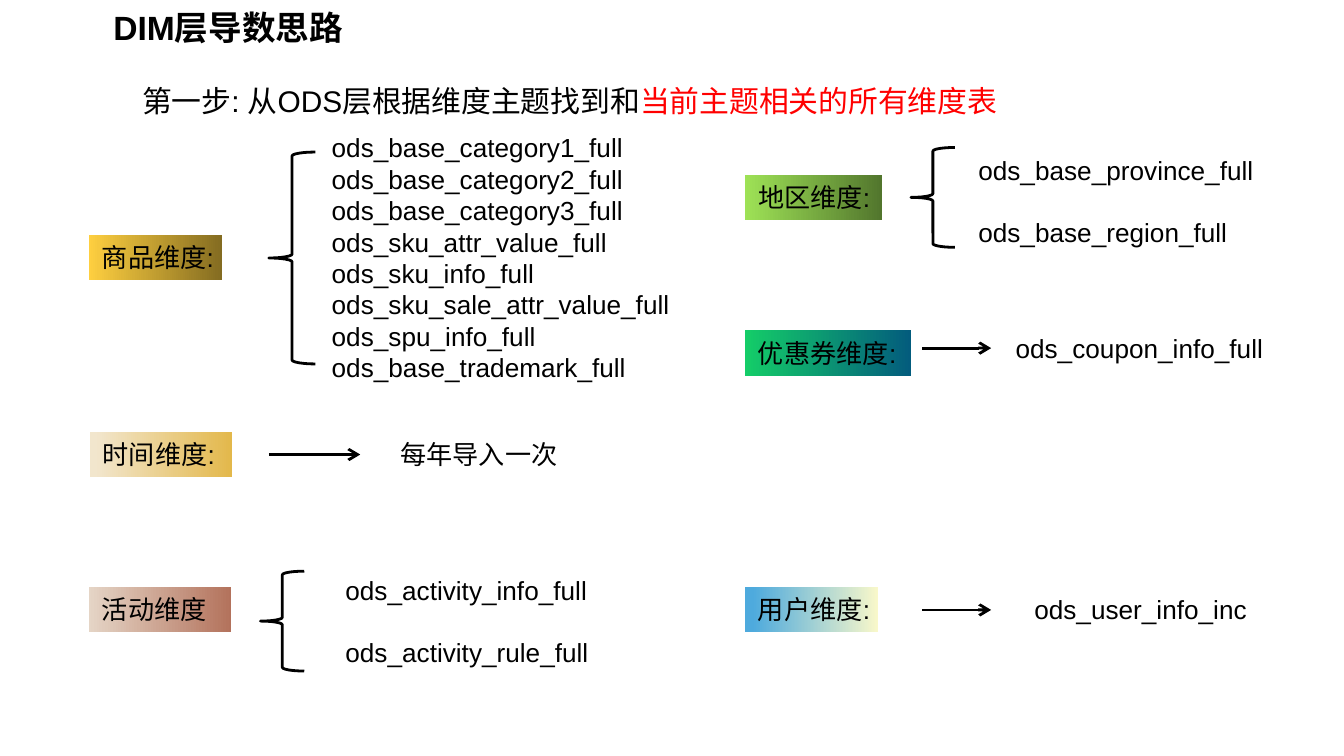
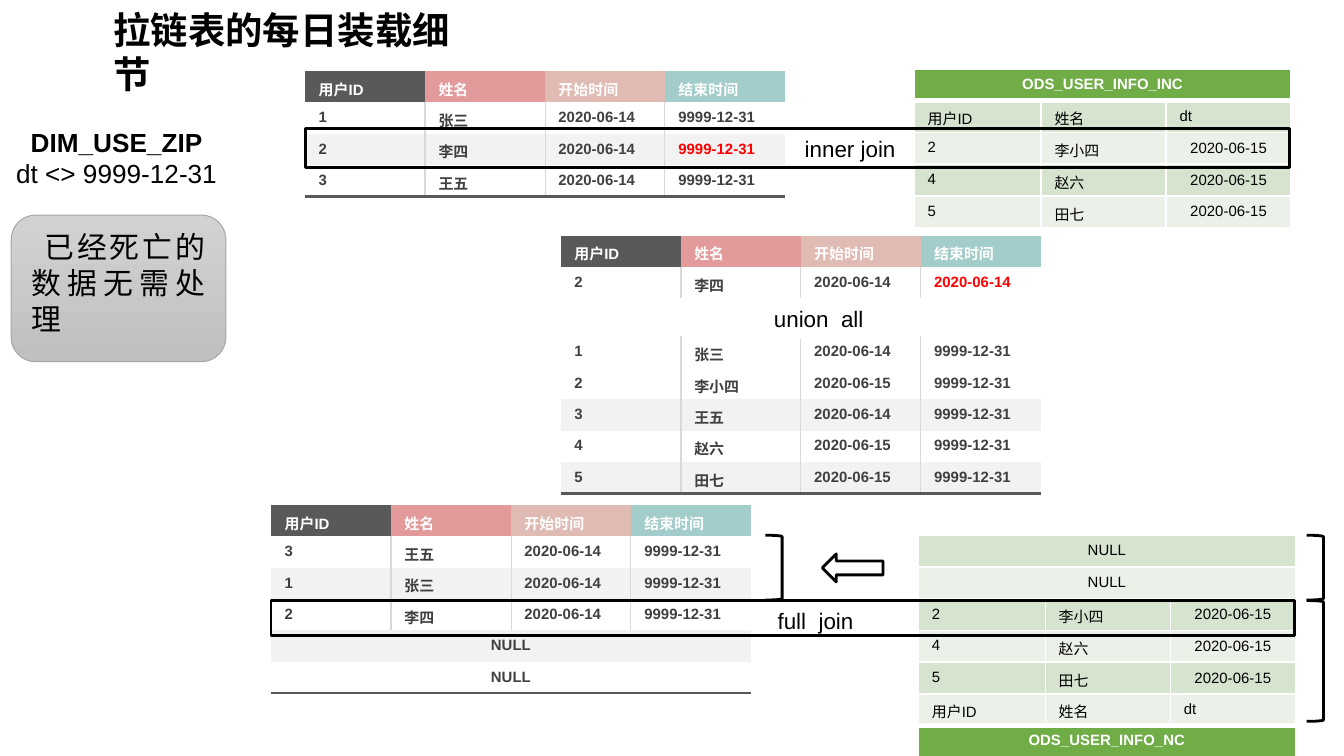
from lxml import etree
from pptx import Presentation
from pptx.dml.color import RGBColor
from pptx.enum import shapes, text
from pptx.oxml import ns
from pptx.util import Pt

# Shared colours
BLACK, WHITE = RGBColor(0, 0, 0), RGBColor(255, 255, 255)
RED = RGBColor(255, 0, 0)
INK, SLATE = RGBColor(0x40, 0x40, 0x40), RGBColor(0x59, 0x59, 0x59)
RULE, STRIPE = RGBColor(0xD9, 0xD9, 0xD9), RGBColor(0xF2, 0xF2, 0xF2)
HEADS = [SLATE, RGBColor(0xE2, 0x9A, 0x9A), RGBColor(0xDF, 0xBB, 0xB3),
         RGBColor(0xA3, 0xCD, 0xCB)]
GREEN = RGBColor(0x70, 0xAD, 0x47)
GREEN_MID, GREEN_PALE = RGBColor(0xD5, 0xE3, 0xCF), RGBColor(0xEB, 0xF1, 0xE9)
CARD_TOP, CARD_END = RGBColor(0xD2, 0xD2, 0xD2), RGBColor(0xC0, 0xC0, 0xC0)
CARD_LINE = RGBColor(0xA5, 0xA5, 0xA5)

# Shared type and table measures
FONT = "Arial"
CENTER = text.PP_ALIGN.CENTER
MSO = shapes.MSO_SHAPE
GREY_COLS, GREY_ROW = [64.25] * 4, 16.75
GREEN_COLS, GREEN_ROW = [68, 67, 67], 17


def write(p, words, size, color=BLACK, bold=False):
    """Add one formatted run to a paragraph."""
    r = p.add_run()
    r.text = words
    r.font.name, r.font.size = FONT, Pt(size)
    r.font.bold, r.font.color.rgb = bold, color


def add_grid(sl, x, y, rows, green=False, red=None):
    """Add a grey or green table; a row with one text spans all columns."""
    widths, row_h = (GREEN_COLS, GREEN_ROW) if green else (GREY_COLS, GREY_ROW)
    last_row, last_col = len(rows) - 1, len(widths) - 1
    tbl = sl.shapes.add_table(len(rows), len(widths), Pt(x), Pt(y),
                              Pt(sum(widths)), Pt(row_h * len(rows))).table
    tbl.first_row = tbl.horz_banding = False
    style = tbl._tbl.tblPr.find(ns.qn("a:tableStyleId"))
    style.text = "{2D5ABB26-0587-4C30-8999-92F81FD0307C}"
    for col, w in zip(tbl.columns, widths):
        col.width = Pt(w)
    for i, row in enumerate(rows):
        tbl.rows[i].height = Pt(row_h)
        title = row[0].startswith("ODS_")
        header = not green and row[0] == "用户ID"
        spans = len(row) == 1
        if spans:
            tbl.cell(i, 0).merge(tbl.cell(i, last_col))
        for j in range(len(widths)):
            cell = tbl.cell(i, j)
            # Borders come before the fill
            edges = {}
            if green:
                edges = {side: (WHITE, 1) for side in "LRTB"}
                if title:
                    edges["B" if i == 0 else "T"] = (WHITE, 3)
            elif not header:
                if not spans and j > 0:
                    edges["L"] = (RULE, 1 if j == 1 else 0.5)
                if not spans and j < last_col:
                    edges["R"] = (RULE, 1 if j == 0 else 0.5)
                if i == last_row and last_row > 1:
                    edges["B"] = (SLATE, 1.5)
            tcPr = cell._tc.get_or_add_tcPr()
            for side, (color, w) in edges.items():
                ln = etree.SubElement(tcPr, ns.qn("a:ln" + side), w=str(Pt(w)))
                fill = etree.SubElement(ln, ns.qn("a:solidFill"))
                etree.SubElement(fill, ns.qn("a:srgbClr"), val=str(color))
            # Fill
            cell.fill.solid()
            if green:
                top_title = rows[0][0].startswith("ODS_")
                shade = GREEN_MID if (i + top_title) % 2 == 0 else GREEN_PALE
                cell.fill.fore_color.rgb = GREEN if title else shade
            elif header:
                cell.fill.fore_color.rgb = HEADS[j]
            else:
                cell.fill.fore_color.rgb = STRIPE if i and i % 2 == 0 else WHITE
            # Text
            if j >= len(row):
                continue
            p = cell.text_frame.paragraphs[0]
            dated = green and row[j].startswith("2020")
            if spans or dated:
                p.alignment = CENTER
            if dated:
                cell.vertical_anchor = text.MSO_ANCHOR.MIDDLE
            color = WHITE if header or title else BLACK if green else INK
            write(p, row[j], 8, RED if (i, j) == red else color,
                  title or not green)


prs = Presentation()
prs.slide_width, prs.slide_height = Pt(720), Pt(405)

# Slides and their titles
slides = []
for layout, words, size, w, h in [(1, "DIM层导数思路", 18, 137.5, 29),
                                  (5, "拉链表的每日装载细节", 20, 214.5, 31.5)]:
    sl = prs.slides.add_slide(prs.slide_layouts[layout])
    sp = sl.shapes.title
    sp.left, sp.top, sp.width, sp.height = Pt(53.5), Pt(0), Pt(w), Pt(h)
    tf = sp.text_frame
    tf.word_wrap, tf.auto_size = True, text.MSO_AUTO_SIZE.NONE
    tf.vertical_anchor = text.MSO_ANCHOR.TOP
    tf.paragraphs[0].alignment = text.PP_ALIGN.LEFT
    write(tf.paragraphs[0], words, size, bold=True)
    slides.append(sl)
dims, zipper = slides

# Slide 1: first step
sp = dims.shapes.add_textbox(Pt(69), Pt(40.5), Pt(569), Pt(26.5))
sp.text_frame.word_wrap = True
p = sp.text_frame.paragraphs[0]
write(p, "第一步: 从ODS层根据维度主题找到和", 16)
write(p, "当前主题相关的所有维度表", 16, RED)

# Slide 1: dimension tags
for words, x, y, w, start, c1, c2 in [
        ("商品维度:", 47.5, 126, 71.5, 0, "FECF40", "846C21"),
        ("优惠券维度:", 399, 177, 89, 0, "14CD68", "035C7D"),
        ("地区维度:", 399, 93.75, 73.5, 0, "9EE256", "52762D"),
        ("活动维度", 47.5, 314.5, 76.5, 0, "E5D5C6", "B3725C"),
        ("时间维度:", 48, 231.25, 76.5, 0.04, "F2E6CD", "E3B84B"),
        ("用户维度:", 399, 314.5, 71.5, 0.06, "4EAADD", "F9F8CA")]:
    sp = dims.shapes.add_textbox(Pt(x), Pt(y), Pt(w), Pt(24.25))
    sp.fill.gradient()
    sp.fill.gradient_angle = 0
    stops = sp.fill.gradient_stops
    stops[0].color.rgb = RGBColor.from_string(c1)
    stops[1].color.rgb = RGBColor.from_string(c2)
    stops[0].position, stops[1].position = start, 1
    sp.text_frame.word_wrap = True
    write(sp.text_frame.paragraphs[0], words, 14)

# Slide 1: product source tables
sp = dims.placeholders[1]
sp.left, sp.top, sp.width, sp.height = Pt(170.5), Pt(67), Pt(228), Pt(142.5)
tf = sp.text_frame
tf.word_wrap, tf.auto_size = True, text.MSO_AUTO_SIZE.NONE
for i, name in enumerate(["base_category1", "base_category2", "base_category3",
                          "sku_attr_value", "sku_info", "sku_sale_attr_value",
                          "spu_info", "base_trademark"]):
    p = tf.paragraphs[0] if i == 0 else tf.add_paragraph()
    p.space_before = Pt(0)
    pPr = p._p.get_or_add_pPr()
    pPr.set("marL", "0")
    pPr.set("indent", "0")
    etree.SubElement(pPr, ns.qn("a:buNone"))
    write(p, f"ods_{name}_full", 14)

# Slide 1: other sources
for x, y, w, h, lines in [
        (178, 304, 200, 58, ["ods_activity_info_full", "ods_activity_rule_full"]),
        (517, 79, 189.5, 58, ["ods_base_province_full", "ods_base_region_full"]),
        (537, 174.5, 160.5, 24.25, ["ods_coupon_info_full"]),
        (547, 314.5, 140, 24.25, ["ods_user_info_inc"]),
        (207.5, 231.25, 125, 24.25, ["每年导入一次"])]:
    sp = dims.shapes.add_textbox(Pt(x), Pt(y), Pt(w), Pt(h))
    tf = sp.text_frame
    tf.word_wrap = True
    for i, line in enumerate(lines):
        p = tf.paragraphs[0] if i == 0 else tf.add_paragraph()
        p.space_before = Pt(16.8 * i)
        write(p, line, 14)

# Slide 1: arrows
for x1, x2, y in [(494, 531, 186.5), (494, 531, 326.75), (144, 193, 243.5)]:
    cx = dims.shapes.add_connector(shapes.MSO_CONNECTOR.STRAIGHT,
                                   Pt(x1), Pt(y), Pt(x2), Pt(y))
    cx.line.color.rgb, cx.line.width = BLACK, Pt(1.5)
    etree.SubElement(cx.line._get_or_add_ln(), ns.qn("a:tailEnd"), type="arrow")
    etree.SubElement(cx._element.spPr, ns.qn("a:effectLst"))

# Slide 2: zip table condition
sp = zipper.shapes.add_textbox(Pt(0), Pt(64), Pt(125), Pt(41))
tf = sp.text_frame
tf.word_wrap = True
for p, words, bold in [(tf.paragraphs[0], "DIM_USE_ZIP", True),
                       (tf.add_paragraph(), "dt <> 9999-12-31", False)]:
    p.alignment = CENTER
    write(p, words, 14, bold=bold)

# Slide 2: note card
sp = zipper.shapes.add_shape(MSO.ROUNDED_RECTANGLE,
                             Pt(6), Pt(115.25), Pt(115), Pt(78.5))
sp.shadow.inherit = False
sp.fill.gradient()
sp.fill.gradient_angle = 270
for stop, color, pos in zip(sp.fill.gradient_stops, [CARD_TOP, CARD_END], [0, 1]):
    stop.color.rgb, stop.position = color, pos
sp.line.color.rgb, sp.line.width = CARD_LINE, Pt(0.5)
tf = sp.text_frame
tf.word_wrap, tf.vertical_anchor = True, text.MSO_ANCHOR.TOP
tf.paragraphs[0].alignment = text.PP_ALIGN.JUSTIFY
write(tf.paragraphs[0], " 已经死亡的数据无需处理", 16)

# Slide 2: tables
D14, D15, END = "2020-06-14", "2020-06-15", "9999-12-31"
head = ["用户ID", "姓名", "开始时间", "结束时间"]
zhang, li, wang = ["1", "张三", D14, END], ["2", "李四", D14, END], ["3", "王五", D14, END]
green_head = ["用户ID", "姓名", "dt"]
changes = [["2", "李小四", D15], ["4", "赵六", D15], ["5", "田七", D15]]
add_grid(zipper, 163.5, 38, [head, zhang, li, wang], red=(2, 3))
add_grid(zipper, 300.5, 126.25, [head, ["2", "李四", D14, D14]], red=(1, 3))
add_grid(zipper, 145.25, 270.5, [head, wang, zhang, li, ["NULL"], ["NULL"]])
add_grid(zipper, 492, 286.75,
         [["NULL"], ["NULL"], *changes, green_head, ["ODS_USER_INFO_NC"]], green=True)
add_grid(zipper, 489.75, 37, [["ODS_USER_INFO_INC"], green_head, *changes], green=True)
add_grid(zipper, 300.5, 180.25,
         [zhang, ["2", "李小四", D15, END], wang,
          ["4", "赵六", D15, END], ["5", "田七", D15, END]])

# Slide 2: join labels
for words, x, y, w in [("inner join", 424, 69, 65.5), ("full  join", 409.5, 322, 81.5),
                       ("union  all", 407.5, 160, 65.5)]:
    sp = zipper.shapes.add_textbox(Pt(x), Pt(y), Pt(w), Pt(21.5))
    sp.fill.solid()
    sp.fill.fore_color.rgb = WHITE
    sp.text_frame.word_wrap = True
    write(sp.text_frame.paragraphs[0], words, 12)

# Outlined braces, frames, brackets and block arrow of both slides
for sl, kind, x, y, w, h in [
        (dims, MSO.LEFT_BRACE, 144, 81.5, 25, 113.5),
        (dims, MSO.LEFT_BRACE, 488, 79, 23.5, 53.5),
        (dims, MSO.LEFT_BRACE, 139.5, 306, 23.5, 53.5),
        (zipper, MSO.RECTANGLE, 163.5, 69, 527.5, 20.75),
        (zipper, MSO.RECTANGLE, 145.25, 321.75, 548.5, 18.75),
        (zipper, MSO.RIGHT_BRACKET, 700, 321.75, 9, 64.75),
        (zipper, MSO.RIGHT_BRACKET, 700, 286.75, 9, 34.75),
        (zipper, MSO.RIGHT_BRACKET, 410, 286.75, 9, 34.75),
        (zipper, MSO.LEFT_ARROW, 440.5, 296.75, 32.5, 15)]:
    sp = sl.shapes.add_shape(kind, Pt(x), Pt(y), Pt(w), Pt(h))
    sp.shadow.inherit = False
    sp.fill.background()
    sp.line.color.rgb, sp.line.width = BLACK, Pt(1.5)

prs.save("out.pptx")
